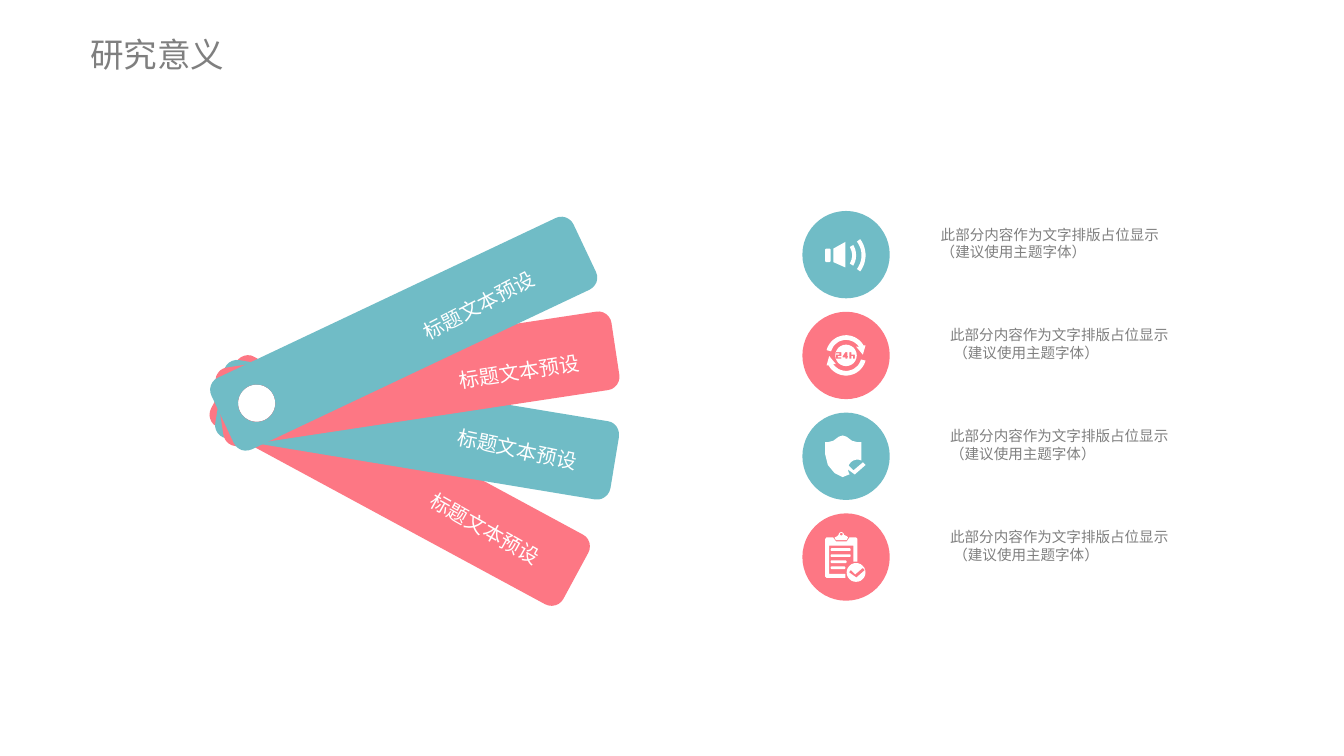
from math import cos, radians, sin

from pptx import Presentation
from pptx import util as u
from pptx.dml.color import RGBColor
from pptx.enum import shapes, text

TEAL, PINK, WHITE, GREY = "70BCC6", "FD7784", "FFFFFF", "7F7F7F"
FONT = "Noto Sans CJK SC"


def rgb(code):
    return RGBColor.from_string(code)


# Outline helpers: lists of points in inches
def arc(x, y, r, a=0, b=360, n=24):
    turns = [radians(a + (b - a) * i / n) for i in range(n + 1)]
    return [(x + r * cos(t), y + r * sin(t)) for t in turns]


def band(x, y, out, inn, a, b):
    return arc(x, y, out, a, b) + arc(x, y, inn, b, a)


def pill(x, y, w, h, r):
    spots = [(x + w - r, y + h - r), (x + r, y + h - r),
             (x + r, y + r), (x + w - r, y + r)]
    return [p for i, (a, b) in enumerate(spots)
            for p in arc(a, b, r, 90 * i, 90 * i + 90, 6)]


def shift(pts, dx, dy, k=1):
    return [(dx + k * x, dy + k * y) for x, y in pts]


def paint(shape, color):
    shape.fill.solid()
    shape.fill.fore_color.rgb = rgb(color)
    shape.line.fill.background()
    shape.shadow.inherit = False
    return shape


def draw(parent, x, y, loops, color):
    """Draw closed loops as one shape; inner loops become holes."""
    mils = [[(1000 * a, 1000 * b) for a, b in shift(loop, x, y)]
            for loop in loops]
    pen = parent.build_freeform(*mils[0][0], scale=u.Inches(1) / 1000)
    for i, loop in enumerate(mils):
        if i:
            pen.move_to(*loop[0])
        pen.add_line_segments(loop[1:], close=True)
    return paint(pen.convert_to_shape(), color)


def write(parent, box, lines, size, color, wrap=True, ins=(.1, .1),
          align=None):
    shape = parent.add_textbox(*map(u.Inches, box))
    frame = shape.text_frame
    frame.word_wrap = wrap
    frame.margin_left, frame.margin_right = map(u.Inches, ins)
    para = frame.paragraphs[0]
    para.alignment = align
    for i, line in enumerate(lines):
        if i:
            para.add_line_break()
        run = para.add_run()
        run.text = line
        run.font.size = u.Pt(size)
        run.font.name = FONT
        run.font.color.rgb = rgb(color)
        # East Asian typeface
        props = run._r.get_or_add_rPr()
        props.append(props.makeelement(
            "{http://schemas.openxmlformats.org/drawingml/2006/main}ea",
            {"typeface": FONT}))
    return shape


# Icons: lists of shapes, each a list of loops, within a disc's box
TICK = [(.32, .41), (.34, .39), (.38, .43), (.45, .37), (.47, .39), (.39, .46)]


def horn():
    return [
        [[(.32, .23), (.32, .42), (.23, .38), (.23, .28)]],
        [pill(.17, .28, .04, .1, .01)],
        [band(.25, .33, .15, .12, -31, 31)],
        [band(.27, .33, .2, .17, -37, 37)],
    ]


def clock():
    mid = .325
    top = (arc(mid, mid, .15, 195, 330) + [(.47, .25), (.45, .32), (.4, .26)]
           + arc(mid, mid, .115, 327, 195))
    low = [(2 * mid - x, 2 * mid - y) for x, y in top]
    # Glyphs on a grid four wide and five high
    two = [(0, 0), (4, 0), (4, 3), (1.5, 3), (1.5, 4), (4, 4),
           (4, 5), (0, 5), (0, 2), (2.5, 2), (2.5, 1), (0, 1)]
    four = [(2, 0), (3.5, 0), (3.5, 3), (4, 3), (4, 4), (3.5, 4),
            (3.5, 5), (2, 5), (2, 4), (0, 4), (0, 3)]
    aitch = [(0, 0), (1.5, 0), (1.5, 2), (4, 2), (4, 5), (2.5, 5),
             (2.5, 3), (1.5, 3), (1.5, 5), (0, 5)]
    marks = [shift(g, .25 + .05 * i, .3, .01)
             for i, g in enumerate((two, four, aitch))]
    return [[arc(mid, mid, .08), top, low, *marks]]


def shield():
    edge = [(.17, .22), (.19, .22), (.23, .21), (.27, .18), (.3, .17),
            (.33, .18), (.37, .21), (.41, .22), (.44, .22), (.44, .34)]
    foot = [(.3, .48), (.24, .45), (.19, .39), (.17, .31)]
    return [[edge + arc(.41, .42, .07, 295, 146) + foot], [TICK]]


def board():
    sheet = [(.18, .18), (.23, .18), (.25, .21), (.33, .21), (.35, .18),
             (.4, .18), (.41, .19), (.41, .36), (.38, .36), (.38, .24),
             (.2, .24), (.2, .45), (.32, .45), (.32, .48), (.18, .48),
             (.17, .47), (.17, .19)]
    rows = [pill(.21, .26 + .045 * i, w, .02, .01)
            for i, w in enumerate((.15, .15, .12, .11))]
    clip = ([(.25, .2), (.24, .18), (.26, .17)]
            + arc(.29, .16, .02, 180, 360) + [(.33, .17), (.34, .18), (.33, .2)])
    badge = arc(.4, .44, .07)
    return [[sheet, *rows, clip, arc(.29, .155, .01), badge,
             shift(TICK, .09, .11, .8)]]


def fan(parent, x, y):
    """Four blades around one pivot, with their labels on top."""
    wide, high, pin = 2.98, .59, .28
    blades = [(28.4, PINK), (9.4, TEAL), (-8.6, PINK), (-25.3, TEAL)]
    reach = wide / 2 - pin
    for turn, color in blades:
        cx = x + reach * cos(radians(turn))
        cy = y + reach * sin(radians(turn))
        loops = [pill(0, 0, wide, high, .1), arc(pin, high / 2, .14)]
        blade = draw(parent, cx - wide / 2, cy - high / 2, loops, color)
        blade.rotation = turn
    labels = [(1.15, -.88, -27.7), (1.46, -.38, -9.1),
              (1.45, .21, 12), (1.21, .81, 29.4)]
    for dx, dy, turn in labels:
        label = write(parent, (x + dx, y + dy, 1.04, .25), ["标题文本预设"],
                      10.8, WHITE, wrap=False, ins=(0, .1),
                      align=text.PP_ALIGN.RIGHT)
        label.rotation = turn


def entry(parent, x, y, color, icon, gap, lines):
    """A disc with an icon and a two-line note."""
    group = parent.add_group_shape().shapes
    disc = group.add_shape(shapes.MSO_SHAPE.OVAL,
                           *map(u.Inches, (x, y, .65, .65)))
    paint(disc, color)
    for loops in icon():
        draw(group, x, y, loops, WHITE)
    write(group, (x + gap, y + .06, 2.2, .46), lines, 7.8, GREY, ins=(.39, .1))


def main():
    deck = Presentation()
    deck.slide_width = u.Inches(10)
    deck.slide_height = deck.slide_width * 9 // 16
    parts = deck.slides.add_slide(deck.slide_layouts[6]).shapes

    fan(parts, 1.91, 3)

    # Entries
    first, last = "此部分内容作为文字排版占位显示", "（建议使用主题字体）"
    entries = [(TEAL, horn, .64, [first + " ", last]),
               (PINK, clock, .71, [first, " " + last]),
               (TEAL, shield, .71, [first + " ", last]),
               (PINK, board, .71, [first, " " + last])]
    for i, (color, icon, gap, lines) in enumerate(entries):
        entry(parts, 5.97, 1.57 + .75 * i, color, icon, gap, lines)

    # Title
    title = write(parts, (.67, .19, 2.33, .42), ["研究意义"], 18, GREY,
                  ins=(0, 0))
    title.text_frame.vertical_anchor = text.MSO_ANCHOR.MIDDLE
    deck.save("out.pptx")


if __name__ == "__main__":
    main()
